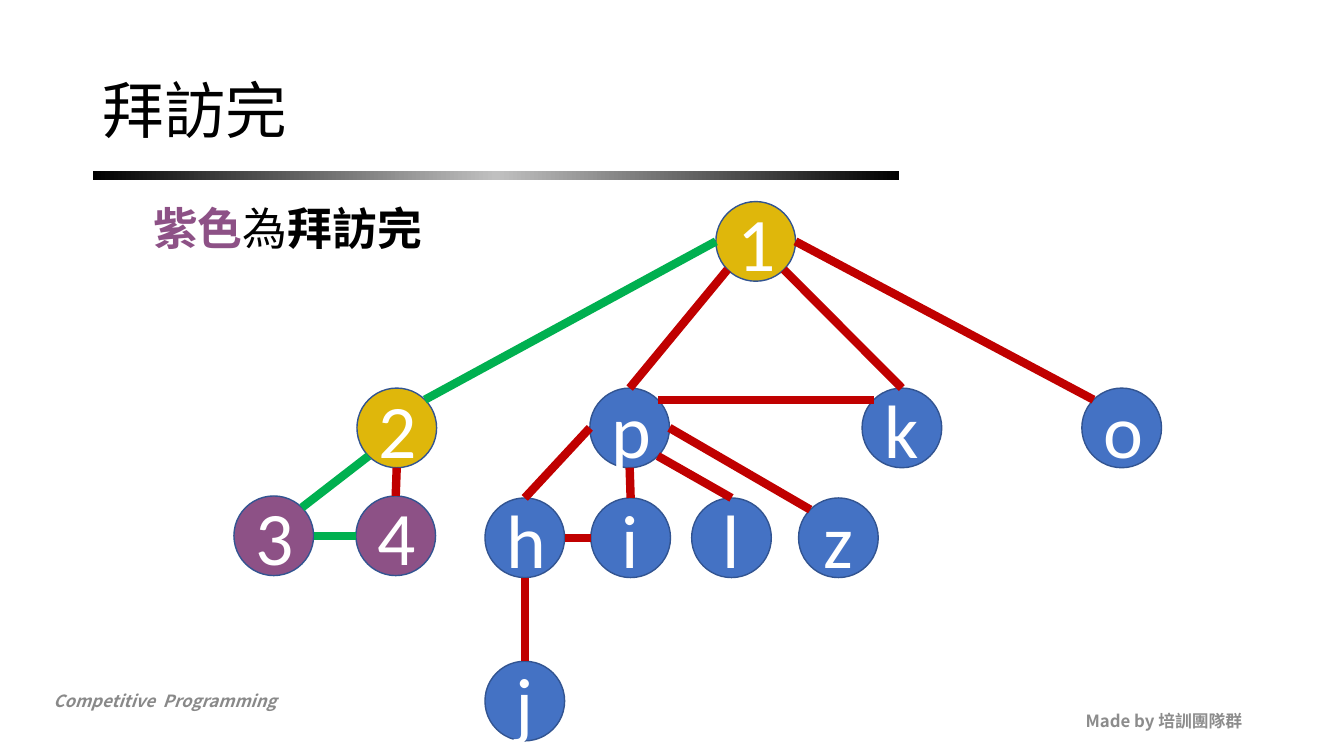
from copy import deepcopy
from math import sqrt

from lxml.etree import SubElement
from pptx import Presentation
from pptx.dml.color import RGBColor
from pptx.enum.shapes import MSO_CONNECTOR, MSO_SHAPE
from pptx.enum.text import MSO_ANCHOR, PP_ALIGN
from pptx.oxml.ns import qn
from pptx.util import Inches, Pt

BLACK = RGBColor(0x00, 0x00, 0x00)
WHITE = RGBColor(0xFF, 0xFF, 0xFF)
SILVER = RGBColor(0xC0, 0xC0, 0xC0)
GREY = RGBColor(0x89, 0x89, 0x89)
LIGHT_GREY = RGBColor(0x8C, 0x8C, 0x8C)
PURPLE = RGBColor(0x8D, 0x51, 0x86)
GOLD = RGBColor(0xDF, 0xB7, 0x0B)
BLUE = RGBColor(0x44, 0x72, 0xC4)
OUTLINE = RGBColor(0x32, 0x54, 0x91)
GREEN = RGBColor(0x00, 0xB0, 0x50)
RED = RGBColor(0xC0, 0x00, 0x00)

CJK_FONT = "Noto Sans CJK SC"
NODE_SIZE = 0.79

# Node label: left and top within the tree, fill
NODES = {
    "1": (4.78, 0, GOLD),
    "2": (1.22, 1.85, GOLD),
    "p": (3.53, 1.85, BLUE),
    "k": (6.23, 1.85, BLUE),
    "o": (8.41, 1.85, BLUE),
    "3": (0, 2.92, PURPLE),
    "4": (1.21, 2.92, PURPLE),
    "h": (2.49, 2.94, BLUE),
    "i": (3.54, 2.94, BLUE),
    "l": (4.54, 2.94, BLUE),
    "z": (5.6, 2.94, BLUE),
    "j": (2.49, 4.56, BLUE),
}

# Node and compass side at each end, colour
EDGES = [
    ("2", "ne", "1", "w", GREEN),
    ("1", "e", "o", "nw", RED),
    ("p", "n", "1", "sw", RED),
    ("p", "e", "z", "nw", RED),
    ("h", "n", "p", "w", RED),
    ("h", "s", "j", "n", RED),
    ("p", "se", "l", "n", RED),
    ("p", "s", "i", "n", RED),
    ("1", "se", "k", "n", RED),
    ("2", "s", "4", "n", RED),
    ("i", "w", "h", "e", RED),
    ("4", "w", "3", "e", GREEN),
    ("2", "sw", "3", "ne", GREEN),
    ("k", "nw", "p", "ne", RED),
]


def add_run(p, text, **formats):
    r = p.add_run()
    r.text = text
    color = formats.pop("color")
    for name, value in formats.items():
        setattr(r.font, name, value)
    r.font.color.rgb = color
    SubElement(r._r.get_or_add_rPr(), qn("a:ea"), typeface=r.font.name)


def add_text(s, box, runs, anchor=MSO_ANCHOR.TOP, **paragraph_formats):
    tf = s.shapes.add_textbox(*map(Inches, box)).text_frame
    tf.word_wrap = True
    tf.vertical_anchor = anchor
    p = tf.paragraphs[0]
    for name, value in paragraph_formats.items():
        setattr(p, name, value)
    for text, formats in runs:
        add_run(p, text, name=CJK_FONT, **formats)
    return p


def add_footer(s, left, top):
    small = {"size": Pt(12), "bold": True}
    add_text(s, (left, top, 4.25, 0.3),
             [("Competitive  Programming", {**small, "italic": True, "color": GREY})])
    add_text(s, (left + 8.99, top + 0.15, 3, 0.4),
             [("Made by 培訓團隊群", {**small, "color": LIGHT_GREY})],
             MSO_ANCHOR.MIDDLE, alignment=PP_ALIGN.RIGHT)


def add_heading(s, left, top):
    # Gradient rule
    sp = s.shapes.add_shape(MSO_SHAPE.RECTANGLE, Inches(left), Inches(top + 1.3),
                            Inches(8), Inches(0.09))
    sp.shadow.inherit = False
    sp.line.fill.background()
    sp.fill.gradient()
    sp.fill.gradient_angle = 0
    stops = sp._element.spPr.find(qn("a:gradFill")).find(qn("a:gsLst"))
    stops.append(deepcopy(stops[-1]))
    for stop, position, color in zip(sp.fill.gradient_stops, (0, 0.5, 1),
                                     (BLACK, SILVER, BLACK)):
        stop.position = position
        stop.color.rgb = color

    # Title
    add_text(s, (left, top, 11.5, 1.45), [("拜訪完", {"size": Pt(44), "color": BLACK})],
             MSO_ANCHOR.MIDDLE, line_spacing=0.9)


def add_body(s, box):
    p = add_text(s, box, [
        ("紫色", {"size": Pt(32), "bold": True, "color": PURPLE}),
        ("為", {"size": Pt(32), "bold": False, "color": BLACK}),
        ("拜訪完", {"size": Pt(32), "bold": True, "color": BLACK}),
    ], line_spacing=0.9)
    p._p.get_or_add_pPr().set("marL", str(Inches(0.5)))


def side_point(left, top, side):
    """Point on a node's rim in a compass direction."""
    reach = NODE_SIZE / 2 / sqrt(len(side))
    dx = ("e" in side) - ("w" in side)
    dy = ("s" in side) - ("n" in side)
    return (Inches(left + NODE_SIZE / 2 + dx * reach),
            Inches(top + NODE_SIZE / 2 + dy * reach))


def add_tree(s, left, top):
    # Nodes
    for label, (x, y, color) in NODES.items():
        sp = s.shapes.add_shape(MSO_SHAPE.OVAL, Inches(left + x), Inches(top + y),
                                Inches(NODE_SIZE), Inches(NODE_SIZE))
        sp.shadow.inherit = False
        sp.fill.solid()
        sp.fill.fore_color.rgb = color
        sp.line.color.rgb = OUTLINE
        sp.line.width = Pt(1)
        tf = sp.text_frame
        tf.vertical_anchor = MSO_ANCHOR.MIDDLE
        p = tf.paragraphs[0]
        p.alignment = PP_ALIGN.CENTER
        add_run(p, label, name="Calibri", size=Pt(54), color=WHITE)

    # Edges
    for start, start_side, end, end_side, color in EDGES:
        points = []
        for label, side in ((start, start_side), (end, end_side)):
            x, y, _ = NODES[label]
            points += side_point(left + x, top + y, side)
        line = s.shapes.add_connector(MSO_CONNECTOR.STRAIGHT, *points)
        line.line.color.rgb = color
        line.line.width = Pt(6)
        SubElement(line._element.spPr, qn("a:effectLst"))


def main():
    prs = Presentation()
    prs.slide_width = Inches(13.33)
    prs.slide_height = Inches(7.5)
    s = prs.slides.add_slide(prs.slide_layouts[6])
    add_footer(s, 0.43, 6.8)
    add_heading(s, 0.92, 0.4)
    add_body(s, (0.92, 2, 11.5, 4.76))
    add_tree(s, 2.32, 2)
    prs.save("out.pptx")


if __name__ == "__main__":
    main()
